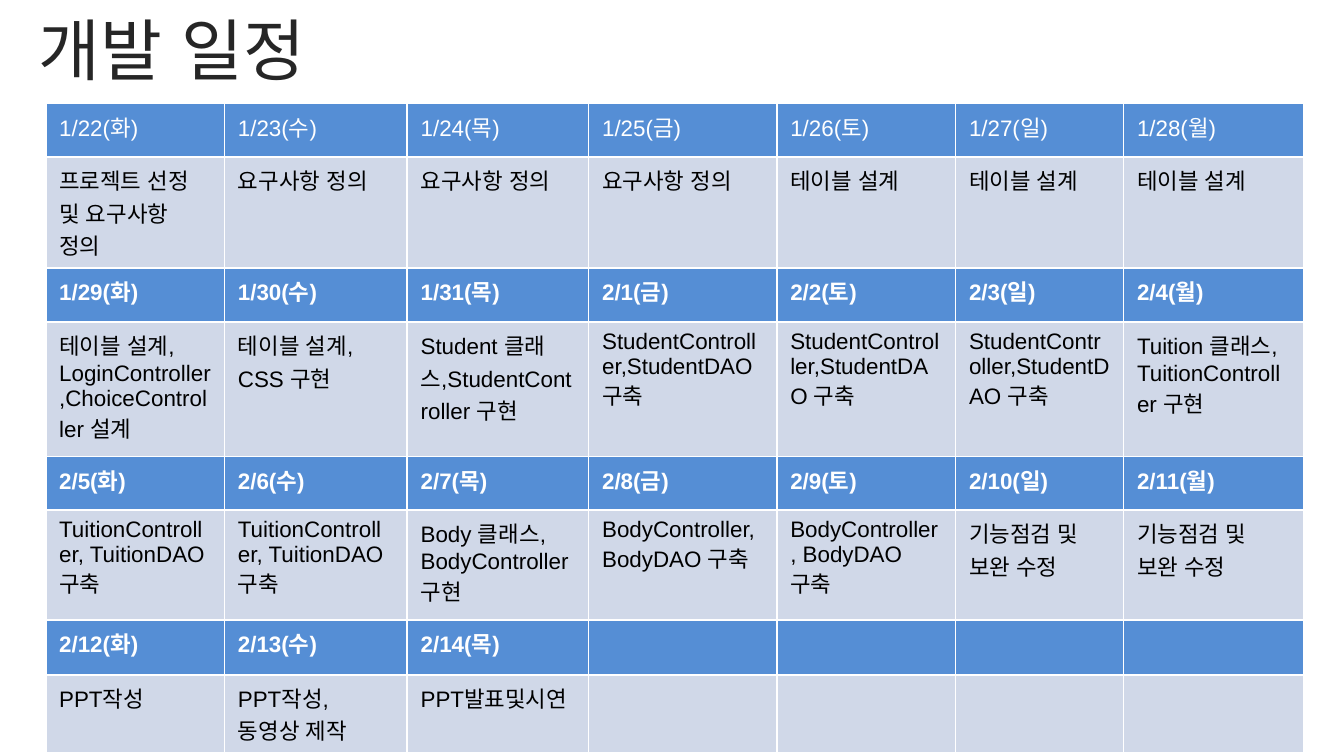
from dataclasses import dataclass

from lxml.etree import SubElement
from pptx import Presentation
from pptx.dml.color import RGBColor
from pptx.enum.lang import MSO_LANGUAGE_ID
from pptx.enum.text import MSO_ANCHOR, PP_ALIGN
from pptx.oxml.ns import qn
from pptx.util import Inches, Pt

WHITE = RGBColor(0xFF, 0xFF, 0xFF)
BLACK = RGBColor(0x00, 0x00, 0x00)
CHARCOAL = RGBColor(0x26, 0x26, 0x26)
BLUE = RGBColor(0x55, 0x8E, 0xD5)
PALE_BLUE = RGBColor(0xD0, 0xD8, 0xE8)

LATIN_FONT = "Arial"
KOREAN_FONT = "Noto Sans CJK KR"
WEEKDAYS = "화수목금토일월"
PAGE_WIDTH = Inches(10)
PAGE_HEIGHT = PAGE_WIDTH * 9 // 16
COLUMN_WIDTHS = (1.33, 1.36, 1.35, 1.4, 1.33, 1.25, 1.34)
DATE_ROW_HEIGHT = 0.4


@dataclass(frozen=True)
class Week:
    dates: tuple[str, ...]
    tasks: tuple[str, ...]
    task_height: float
    bold_dates: bool = True


STUDENT_TASK = "StudentController,StudentDAO 구축"
TUITION_TASK = "TuitionController, TuitionDAO 구축"
BODY_TASK = "BodyController, BodyDAO 구축"
REVIEW_TASK = "기능점검 및 보완 수정"

WEEKS = (
    Week(
        ("1/22", "1/23", "1/24", "1/25", "1/26", "1/27", "1/28"),
        ("프로젝트 선정 및 요구사항 정의",
         *["요구사항 정의"] * 3, *["테이블 설계"] * 3),
        0.69,
        bold_dates=False,
    ),
    Week(
        ("1/29", "1/30", "1/31", "2/1", "2/2", "2/3", "2/4"),
        ("테이블 설계, LoginController,ChoiceController 설계",
         "테이블 설계, CSS 구현",
         "Student 클래스,StudentController 구현",
         *[STUDENT_TASK] * 3,
         "Tuition 클래스, TuitionController 구현"),
        1,
    ),
    Week(
        ("2/5", "2/6", "2/7", "2/8", "2/9", "2/10", "2/11"),
        (*[TUITION_TASK] * 2, "Body 클래스, BodyController 구현",
         *[BODY_TASK] * 2, *[REVIEW_TASK] * 2),
        0.82,
    ),
    Week(
        ("2/12", "2/13", "2/14"),
        ("PPT작성", "PPT작성,\n동영상 제작", "PPT발표및시연"),
        0.42,
    ),
)


def write_text(frame, text: str, *, size: float, color: RGBColor,
               font: str = LATIN_FONT, bold: bool = False) -> None:
    frame.text = text
    for para in frame.paragraphs:
        para.alignment = PP_ALIGN.LEFT
        for span in para.runs:
            span.font.size = Pt(size)
            span.font.bold = bold
            span.font.name = font
            span.font.color.rgb = color
            span.font.language_id = MSO_LANGUAGE_ID.KOREAN
            east_asian = SubElement(span.font._element, qn("a:ea"))
            east_asian.set("typeface", KOREAN_FONT)


def draw_borders(cell) -> None:
    properties = cell._tc.get_or_add_tcPr()
    for position, side in enumerate(("lnL", "lnR", "lnT", "lnB")):
        line = properties.makeelement(qn(f"a:{side}"), {"w": str(Pt(1))})
        fill = SubElement(line, qn("a:solidFill"))
        SubElement(fill, qn("a:srgbClr")).set("val", str(WHITE))
        properties.insert(position, line)


def fill_row(table, row: int, texts: list[str], *, fill: RGBColor,
             color: RGBColor, height: float, bold: bool = False) -> None:
    table.rows[row].height = Inches(height)
    for column in range(len(COLUMN_WIDTHS)):
        cell = table.cell(row, column)
        cell.fill.solid()
        cell.fill.fore_color.rgb = fill
        draw_borders(cell)
        if column < len(texts):
            write_text(cell.text_frame, texts[column], size=12,
                       color=color, bold=bold)


def add_title(page, text: str) -> None:
    title = page.shapes.title
    title.left, title.top = Inches(0.19), Inches(0)
    title.width, title.height = Inches(8.53), Inches(0.72)
    title.text_frame.vertical_anchor = MSO_ANCHOR.MIDDLE
    write_text(title.text_frame, text, size=36, color=CHARCOAL,
               font=KOREAN_FONT)


def add_schedule(page, weeks: tuple[Week, ...]) -> None:
    height = sum(DATE_ROW_HEIGHT + week.task_height for week in weeks)
    table = page.shapes.add_table(
        2 * len(weeks), len(COLUMN_WIDTHS), Inches(0.34), Inches(0.77),
        Inches(sum(COLUMN_WIDTHS)), Inches(height)).table
    for column, width in zip(table.columns, COLUMN_WIDTHS):
        column.width = Inches(width)
    for index, week in enumerate(weeks):
        dates = [f"{date}({day})" for date, day in zip(week.dates, WEEKDAYS)]
        fill_row(table, 2 * index, dates, fill=BLUE, color=WHITE,
                 height=DATE_ROW_HEIGHT, bold=week.bold_dates)
        fill_row(table, 2 * index + 1, list(week.tasks), fill=PALE_BLUE,
                 color=BLACK, height=week.task_height)


def main() -> None:
    deck = Presentation()
    deck.slide_width, deck.slide_height = PAGE_WIDTH, PAGE_HEIGHT
    page = deck.slides.add_slide(deck.slide_layouts[5])
    add_title(page, "개발 일정")
    add_schedule(page, WEEKS)
    deck.save("out.pptx")


if __name__ == "__main__":
    main()
